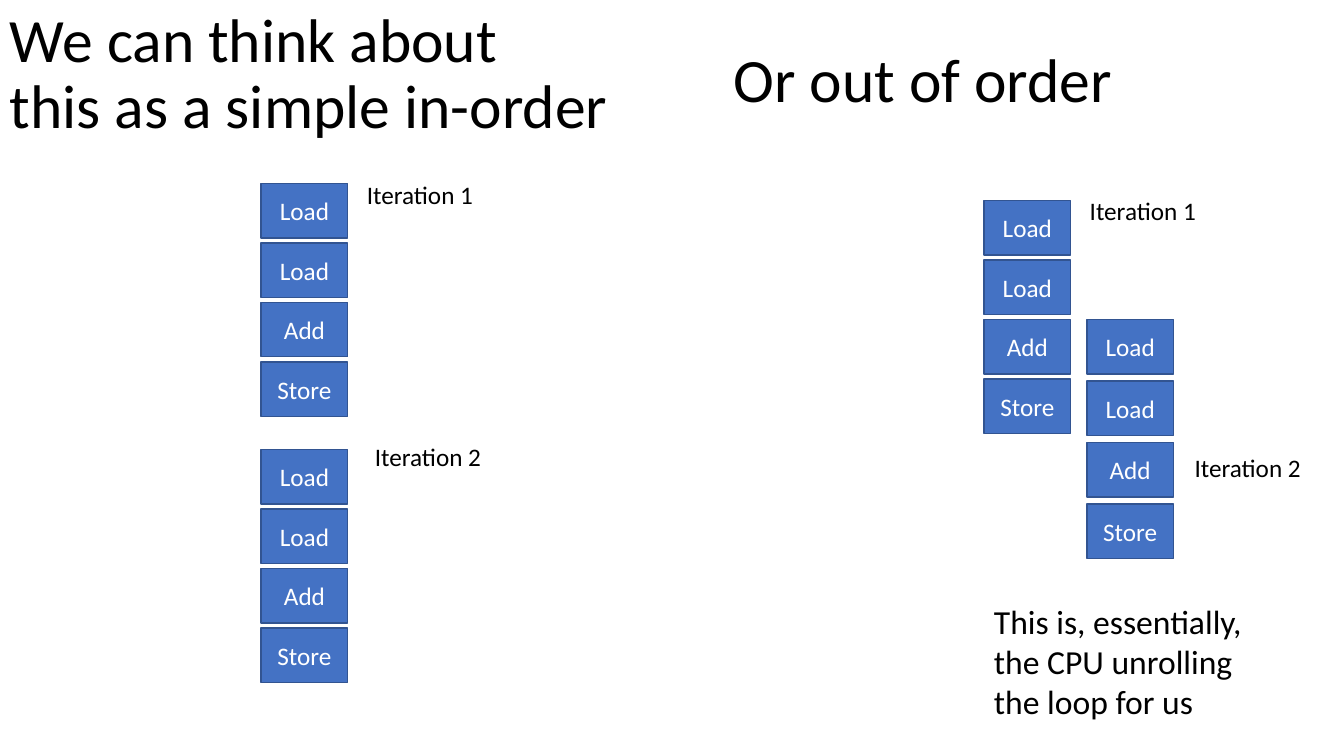
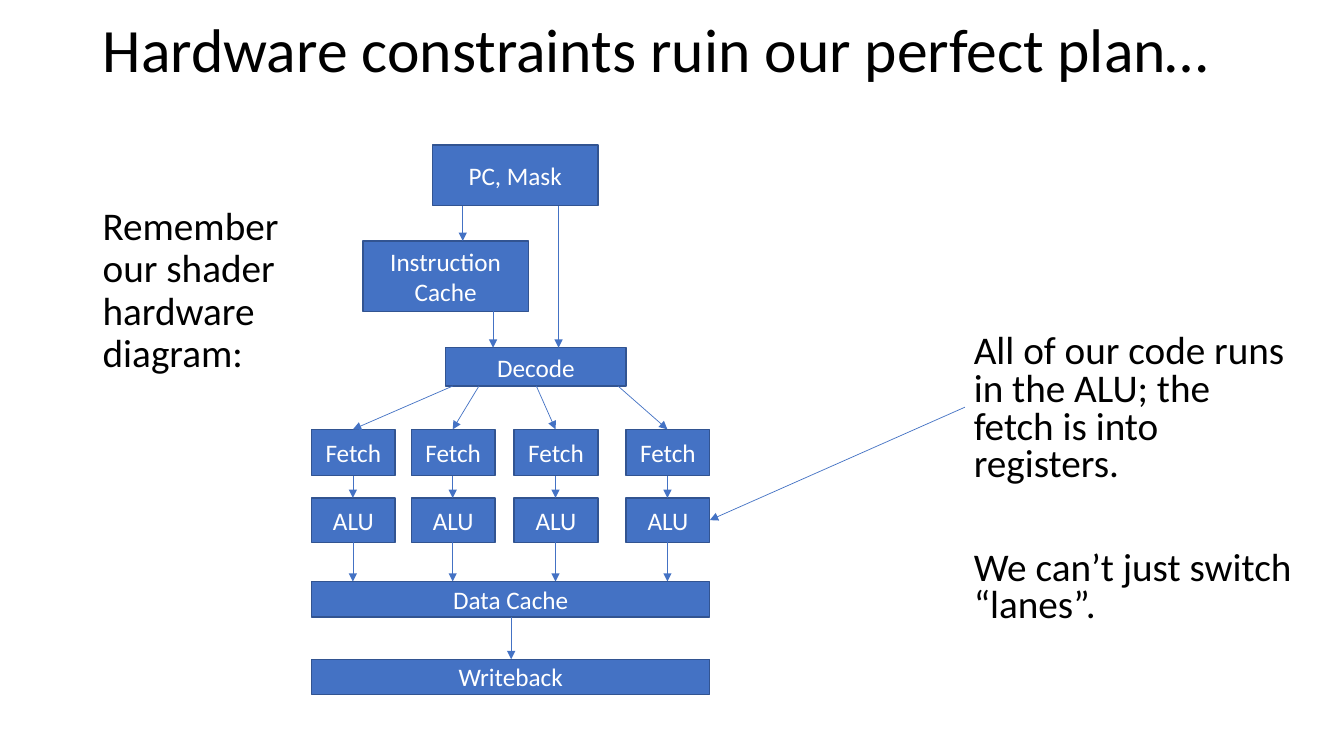
from lxml import etree
from pptx import Presentation
from pptx.dml.color import RGBColor
from pptx.enum.shapes import MSO_CONNECTOR, MSO_SHAPE
from pptx.enum.text import MSO_ANCHOR, PP_ALIGN
from pptx.oxml.ns import qn
from pptx.util import Pt

RECT = MSO_SHAPE.RECTANGLE
STRAIGHT = MSO_CONNECTOR.STRAIGHT
TOP, MIDDLE = MSO_ANCHOR.TOP, MSO_ANCHOR.MIDDLE
CENTER = PP_ALIGN.CENTER

BLUE = RGBColor(0x44, 0x72, 0xC4)
DARK_BLUE = RGBColor(0x32, 0x54, 0x91)
BLACK = RGBColor(0, 0, 0)
WHITE = RGBColor(0xFF, 0xFF, 0xFF)
FONT = "Calibri"

PX = 9144  # 100 px to the inch
SLIDE_W, SLIDE_H = 1333, 750
STEPS = ("Load", "Load", "Add", "Store")
STEP_W, STEP_H = 86, 54


def px(*lengths):
    return [n * PX for n in lengths]


def style(p, size, color):
    p.font.name = FONT
    p.font.size = Pt(size)
    p.font.color.rgb = color


def add_text(s, at, paragraphs, size, spacing=1.0, gap=0, anchor=TOP, wrap=True):
    tf = s.shapes.add_textbox(*px(*at)).text_frame
    tf.word_wrap = wrap
    tf.vertical_anchor = anchor
    for i, text in enumerate(paragraphs):
        p = tf.add_paragraph() if i else tf.paragraphs[0]
        p.text = text
        p.line_spacing = spacing
        p.space_before = Pt(gap if i else 0)
        style(p, size, BLACK)


def add_title(s, at, text):
    add_text(s, at, [text], 44, spacing=0.9, anchor=MIDDLE)


def add_label(s, x, y, text):
    add_text(s, (x, y, 127, 40), [text], 18, wrap=False)


def add_box(s, at, text):
    sp = s.shapes.add_shape(RECT, *px(*at))
    sp.shadow.inherit = False
    sp.fill.solid()
    sp.fill.fore_color.rgb = BLUE
    sp.line.color.rgb = DARK_BLUE
    sp.line.width = Pt(1)
    sp.text_frame.vertical_anchor = MIDDLE
    p = sp.text_frame.paragraphs[0]
    p.text = text
    p.alignment = CENTER
    style(p, 18, WHITE)


def add_arrow(s, x1, y1, x2, y2):
    line = s.shapes.add_connector(STRAIGHT, *px(x1, y1, x2, y2))
    line.line.color.rgb = BLUE
    line.line.width = Pt(0.5)
    ln = line.line._get_or_add_ln()
    etree.SubElement(ln, qn("a:tailEnd"), type="triangle")
    etree.SubElement(line._element.spPr, qn("a:effectLst"))


def add_iteration(s, x, y, pitch=59):
    for i, step in enumerate(STEPS):
        add_box(s, (x, y + i * pitch, STEP_W, STEP_H), step)


def build_order_slide(s):
    # In-order: one iteration after the other
    add_title(s, (0, 0, 617, 150), "We can think about\nthis as a simple in-order")
    add_iteration(s, 259, 182)
    add_label(s, 354, 173, "Iteration 1")
    add_iteration(s, 259, 446)
    add_label(s, 362, 433, "Iteration 2")

    # Out of order: iterations overlap
    add_title(s, (718, 7, 617, 150), "Or out of order")
    add_iteration(s, 976, 199)
    add_label(s, 1071, 189, "Iteration 1")
    add_iteration(s, 1078, 317, pitch=61)
    add_label(s, 1175, 444, "Iteration 2")
    add_text(s, (976, 591, 280, 131),
             ["This is, essentially, the CPU unrolling the loop for us"], 24)


def build_hardware_slide(s):
    add_title(s, (92, 10, 1150, 85), "Hardware constraints ruin our perfect plan…")
    add_text(s, (92, 200, 201, 186),
             ["Remember our shader hardware diagram:"], 28, spacing=0.9)

    # Front end
    add_box(s, (429, 144, 164, 60), "PC, Mask")
    add_box(s, (360, 239, 164, 70), "Instruction Cache")
    add_box(s, (442, 345, 179, 38), "Decode")
    add_arrow(s, 459, 204, 459, 239)
    add_arrow(s, 489, 309, 489, 345)
    add_arrow(s, 554, 204, 554, 345)

    # Lanes: left edge, and where the arrow leaves Decode
    lane_w = 83
    for x, decode_x in ((309, 449), (408, 475), (510, 532), (621, 613)):
        mid = x + lane_w // 2
        add_box(s, (x, 426, lane_w, 46), "Fetch")
        add_box(s, (x, 494, lane_w, 44), "ALU")
        add_arrow(s, decode_x, 383, mid, 426)
        add_arrow(s, mid, 472, mid, 494)
        add_arrow(s, mid, 538, mid, 577)

    # Back end
    add_box(s, (309, 577, 395, 35), "Data Cache")
    add_box(s, (309, 654, 395, 35), "Writeback")
    add_arrow(s, 507, 612, 507, 654)

    # Remark on the ALU
    add_text(s, (956, 327, 338, 308),
             ["All of our code runs in the ALU; the fetch is into registers.",
              "We can’t just switch “lanes”."], 28, spacing=0.8, gap=47)
    add_arrow(s, 957, 404, 704, 516)


def main():
    prs = Presentation()
    prs.slide_width, prs.slide_height = px(SLIDE_W, SLIDE_H)
    blank = prs.slide_layouts[6]
    for build in (build_order_slide, build_hardware_slide):
        build(prs.slides.add_slide(blank))
    prs.save("out.pptx")


if __name__ == "__main__":
    main()
